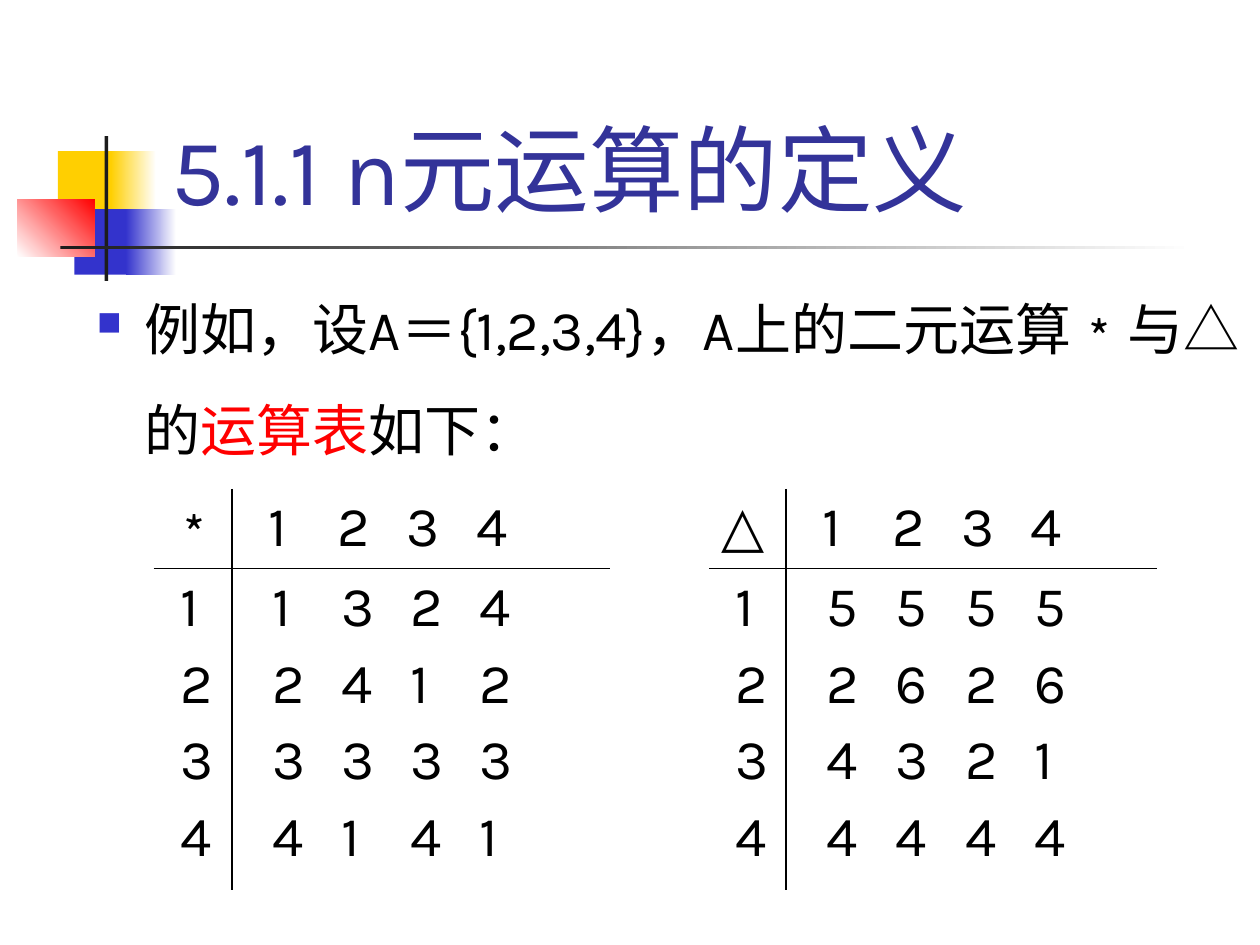
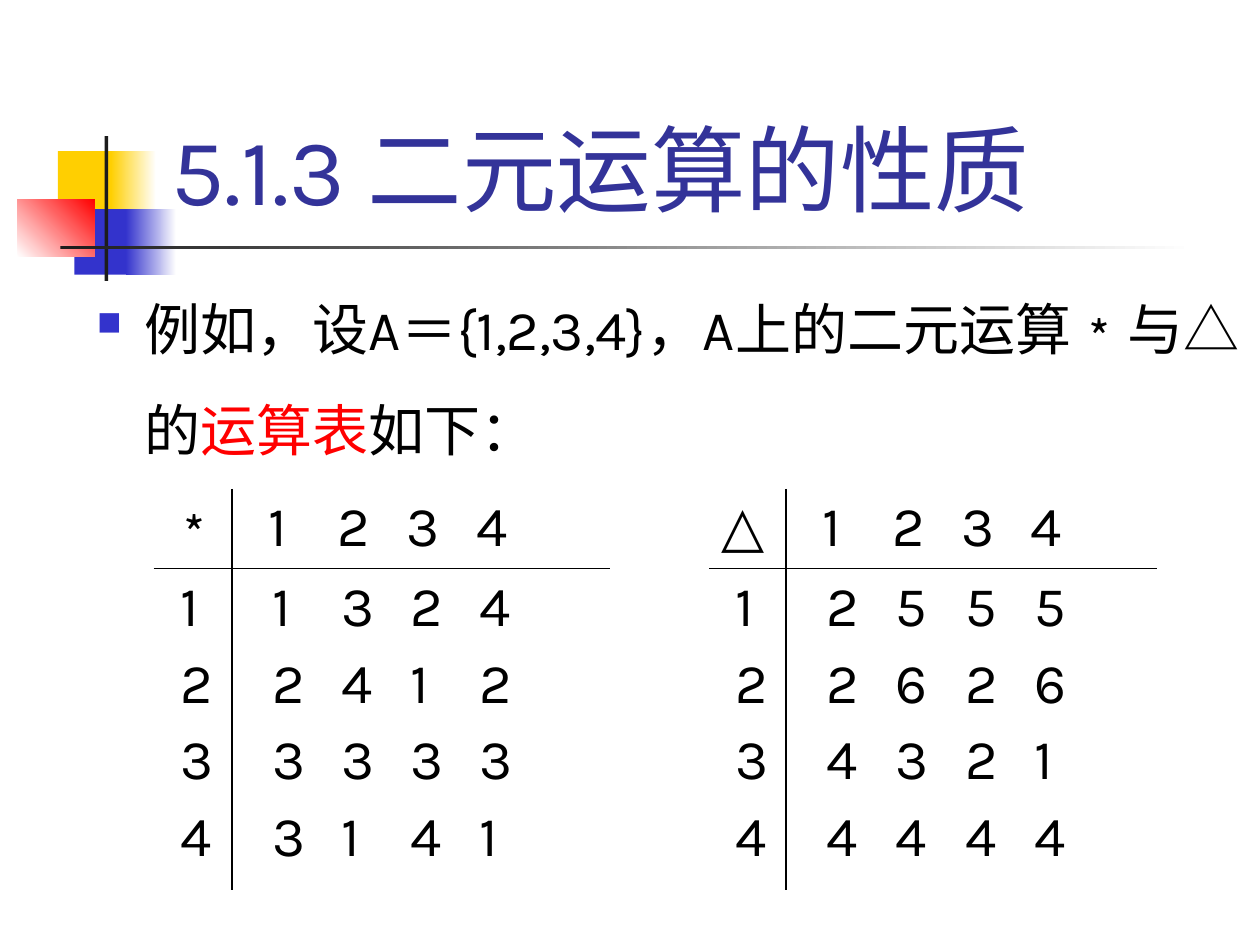
from lxml.etree import SubElement
from pptx import Presentation
from pptx.dml.color import RGBColor
from pptx.enum.shapes import MSO_SHAPE
from pptx.enum.text import MSO_ANCHOR, MSO_AUTO_SIZE, PP_ALIGN
from pptx.oxml.ns import qn
from pptx.util import Inches, Pt

FONT = "Karla"
COLOURS = {
    "yellow": "FFCF01",
    "blue": "3333CC",
    "red": "FF0000",
    "dark": "1C1C1C",
    "title": "333399",
    "text": "000000",
    "white": "FFFFFF",
}

# Left, top, width, height, first colour, last colour, gradient angle
DECORATION = [
    (0.46, 1.2, 0.48, 0.52, "yellow", "yellow", 0),
    (0.88, 1.2, 0.36, 0.52, "yellow", "white", 0),
    (0.59, 1.66, 0.46, 0.52, "blue", "blue", 0),
    (1, 1.66, 0.4, 0.52, "blue", "white", 0),
    (0.14, 1.58, 0.61, 0.46, "white", "red", 45),
    (0.83, 1.08, 0.03, 1.15, "dark", "dark", 0),
    (0.48, 1.95, 9, 0.03, "dark", "white", 0),
]

# Operation tables: each string is one row of results
ELEMENTS = "1234"
SLIDES = [
    ("5.1.1 n元运算的定义",
     ["1324", "2412", "3333", "4141"], ["5555", "2626", "4321", "4444"]),
    ("5.1.3 二元运算的性质",
     ["1324", "2412", "3333", "3141"], ["2555", "2626", "4321", "4444"]),
]
DIGIT_PITCH = 0.55


def colour(name):
    return RGBColor.from_string(COLOURS[name])


def style(paragraph, size, colour_name="text"):
    paragraph.font.name = FONT
    paragraph.font.size = Pt(size)
    paragraph.font.color.rgb = colour(colour_name)


def add_decoration(page):
    for left, top, width, height, first, last, angle in DECORATION:
        block = page.shapes.add_shape(MSO_SHAPE.RECTANGLE, Inches(left), Inches(top),
                                      Inches(width), Inches(height))
        block.shadow.inherit = False
        block.line.fill.background()
        if first == last:
            block.fill.solid()
            block.fill.fore_color.rgb = colour(first)
        else:
            block.fill.gradient()
            block.fill.gradient_angle = angle
            for stop, name in zip(block.fill.gradient_stops, (first, last)):
                stop.color.rgb = colour(name)


def add_title(page, text):
    title = page.shapes.title
    title.left, title.top = Inches(1.26), Inches(0.23)
    title.width, title.height = Inches(8.52), Inches(1.6)
    frame = title.text_frame
    frame.text = text
    frame.auto_size = MSO_AUTO_SIZE.NONE
    frame.vertical_anchor = MSO_ANCHOR.BOTTOM
    para = frame.paragraphs[0]
    para.alignment = PP_ALIGN.LEFT
    style(para, 54, "title")


def add_bullet(para):
    properties = para._p.get_or_add_pPr()
    properties.set("marL", str(Inches(0.38)))
    properties.set("indent", str(-Inches(0.38)))
    bullet_colour = SubElement(properties, qn("a:buClr"))
    SubElement(bullet_colour, qn("a:srgbClr"), val=COLOURS["blue"])
    SubElement(properties, qn("a:buSzPct"), val="60000")
    SubElement(properties, qn("a:buChar"), char="■")


def add_introduction(page):
    box = page.shapes.add_textbox(Inches(0.67), Inches(2.02), Inches(9.33), Inches(1.8))
    box.text_frame.word_wrap = True
    para = box.text_frame.paragraphs[0]
    add_bullet(para)
    para.line_spacing = 1.5
    style(para, 32)
    for text in ("例如，设A＝{1,2,3,4}，A上的二元运算﹡与△的", "运算表", "如下："):
        span = para.add_run()
        span.text = text
        if text == "运算表":
            span.font.color.rgb = colour("red")


def set_borders(cell, inner_edges):
    properties = cell._tc.get_or_add_tcPr()
    for edge in ("L", "R", "T", "B"):
        line = SubElement(properties, qn(f"a:ln{edge}"), w=str(Pt(1)))
        if edge in inner_edges:
            fill = SubElement(line, qn("a:solidFill"))
            SubElement(fill, qn("a:srgbClr"), val=COLOURS["text"])
        else:
            SubElement(line, qn("a:noFill"))


def fill_cell(cell, lines, margin):
    cell.margin_left = Inches(margin)
    frame = cell.text_frame
    for index, digits in enumerate(lines):
        para = frame.paragraphs[0] if index == 0 else frame.add_paragraph()
        if index:
            para.space_before = Pt(6.4)
        if len(digits) > 1:
            tabs = SubElement(para._p.get_or_add_pPr(), qn("a:tabLst"))
            for column in range(1, len(digits)):
                SubElement(tabs, qn("a:tab"), pos=str(Inches(column * DIGIT_PITCH)), algn="l")
        para.add_run().text = "\t".join(digits)
        style(para, 32)


def add_operation_table(page, left, widths, symbol, results):
    frame = page.shapes.add_table(2, 2, Inches(left), Inches(3.88),
                                  Inches(sum(widths)), Inches(3.18))
    table = frame.table
    table.first_row = table.horz_banding = False
    for column, width in zip(table.columns, widths):
        column.width = Inches(width)
    for row, height in zip(table.rows, (0.63, 2.55)):
        row.height = Inches(height)
    contents = [[[symbol], [ELEMENTS]], [ELEMENTS, results]]
    margins = [[0.1, 0.29], [0.21, 0.32]]
    for row in range(2):
        for column in range(2):
            cell = table.cell(row, column)
            set_borders(cell, "BT"[row] + "RL"[column])
            cell.fill.background()
            fill_cell(cell, contents[row][column], margins[row][column])


def main():
    deck = Presentation()
    deck.slide_width, deck.slide_height = Inches(10), Inches(7.5)
    for title, star_results, triangle_results in SLIDES:
        page = deck.slides.add_slide(deck.slide_layouts[5])
        add_decoration(page)
        add_title(page, title)
        add_introduction(page)
        add_operation_table(page, 1.22, (0.62, 3), "﹡", star_results)
        add_operation_table(page, 5.63, (0.61, 2.94), "△", triangle_results)
    deck.save("out.pptx")


if __name__ == "__main__":
    main()
